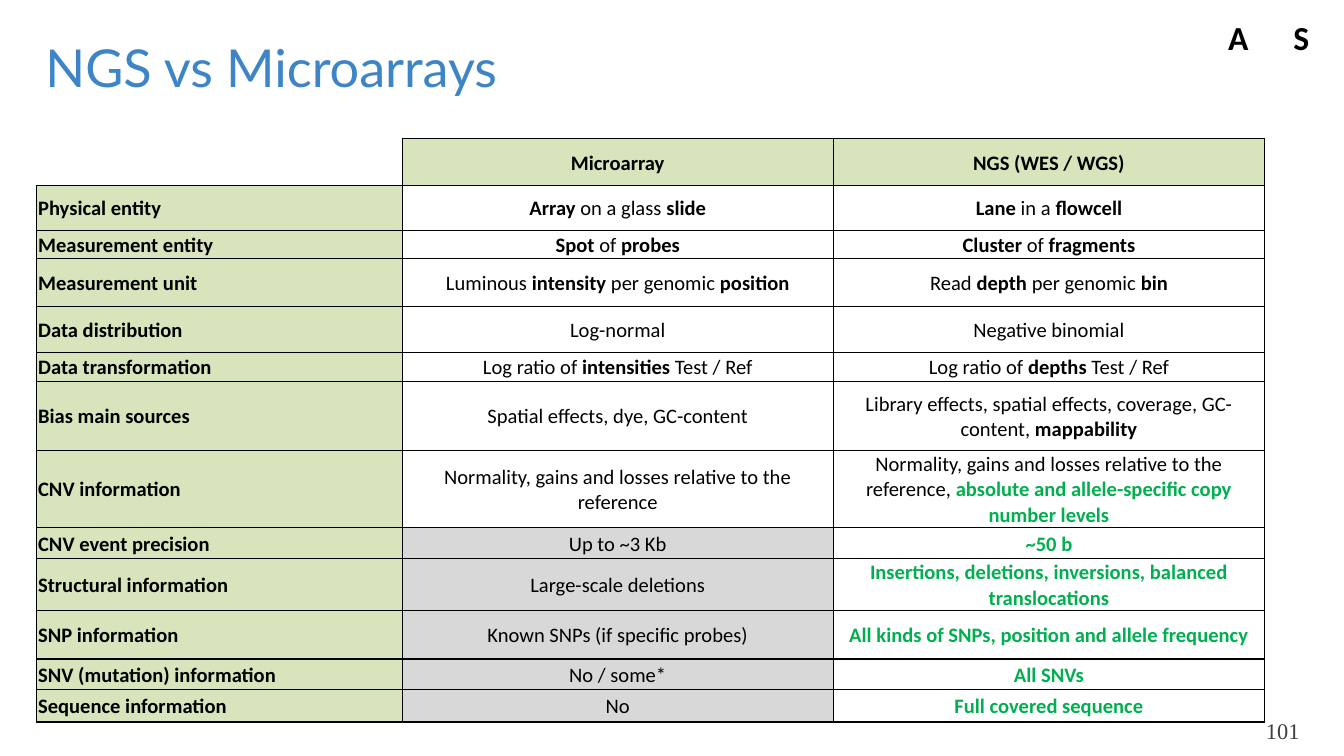
from dataclasses import dataclass
from typing import NamedTuple

from lxml import etree
from pptx import Presentation
from pptx.dml.color import RGBColor
from pptx.enum.text import MSO_ANCHOR, PP_ALIGN
from pptx.oxml.ns import qn
from pptx.util import Cm, Pt

LEFT, CENTER, RIGHT = PP_ALIGN.LEFT, PP_ALIGN.CENTER, PP_ALIGN.RIGHT
TOP, MIDDLE, BOTTOM = MSO_ANCHOR.TOP, MSO_ANCHOR.MIDDLE, MSO_ANCHOR.BOTTOM


@dataclass(frozen=True)
class Theme:
    black: str = "000000"
    title: str = "3D85C6"
    number: str = "3F3F3F"
    heading_fill: str = "D7E4BC"
    limited_fill: str = "D8D8D8"
    advantage: str = "00B050"
    body_font: str = "Calibri"
    title_font: str = "Lato"
    number_font: str = "Times New Roman"
    title_size: int = 28
    letter_size: int = 18
    number_size: int = 12
    table_size: int = 11
    border: float = 0.75


THEME = Theme()


class Run(NamedTuple):
    text: str
    bold: bool = False
    color: str = THEME.black
    font: str = THEME.body_font
    size: int = THEME.table_size


def bold(text: str) -> Run:
    return Run(text, True)


def advantage(text: str) -> Run:
    return Run(text, True, THEME.advantage)


class Row(NamedTuple):
    height: float
    heading: str
    array: list[Run]
    ngs: list[Run]
    limited: bool = False


class Label(NamedTuple):
    box: tuple[float, float, float, float]
    run: Run
    align: PP_ALIGN
    anchor: MSO_ANCHOR
    margins: tuple[float, float, float, float]
    spacing: float = 0.93


TABLE_LEFT, TABLE_TOP = 0.69, 2.62
COLUMNS = (6.91, 8.15, 8.15)
HEADER_HEIGHT = 0.89
CELL_MARGINS = (0.03, 0.03, 0.03, 0)
PLAIN_MARGINS = (0.25, 0.13, 0.25, 0.13)

ROWS = [
    Row(0.84, "Physical entity",
        [bold("Array"), Run(" on a glass "), bold("slide")],
        [bold("Lane"), Run(" in a "), bold("flowcell")]),
    Row(0.54, "Measurement entity",
        [bold("Spot"), Run(" of "), bold("probes")],
        [bold("Cluster"), Run(" of "), bold("fragments")]),
    Row(0.9, "Measurement unit",
        [Run("Luminous "), bold("intensity"), Run(" per genomic "), bold("position")],
        [Run("Read "), bold("depth"), Run(" per genomic "), bold("bin")]),
    Row(0.87, "Data distribution", [Run("Log-normal")], [Run("Negative binomial")]),
    Row(0.55, "Data transformation",
        [Run("Log ratio of "), bold("intensities"), Run(" Test / Ref")],
        [Run("Log ratio of "), bold("depths"), Run(" Test / Ref")]),
    Row(1.3, "Bias main sources",
        [Run("Spatial effects, dye, GC-content")],
        [Run("Library effects, spatial effects, coverage, GC-content, "),
         bold("mappability")]),
    Row(1.35, "CNV information",
        [Run("Normality, gains and losses relative to the reference")],
        [Run("Normality, gains and losses relative to the reference, "),
         advantage("absolute and allele-specific copy number levels")]),
    Row(0.58, "CNV event precision", [Run("Up to ~3 Kb")], [advantage("~50 b")], True),
    Row(0.91, "Structural information",
        [Run("Large-scale deletions")],
        [advantage("Insertions, deletions, inversions, balanced translocations")], True),
    Row(0.91, "SNP information",
        [Run("Known SNPs (if specific probes)")],
        [advantage("All kinds of SNPs, position and allele frequency")], True),
    Row(0.58, "SNV (mutation) information",
        [Run("No / some*")], [advantage("All SNVs")], True),
    Row(0.61, "Sequence information",
        [Run("No")], [advantage("Full covered sequence")], True),
]

LABELS = [
    Label((22.78, 13.49, 2.03, 0.58),
          Run("101", False, THEME.number, THEME.number_font, THEME.number_size),
          RIGHT, BOTTOM, (0.25, 0.13, 0.25, 0)),
    *(Label((left, 0.25, 0.99, 0.74),
            Run(letter, True, size=THEME.letter_size), CENTER, TOP, PLAIN_MARGINS)
      for letter, left in (("A", 22.91), ("S", 24.1))),
    Label((0.61, 0.33, 24.79, 1.85),
          Run("NGS vs Microarrays", False, THEME.title, THEME.title_font,
              THEME.title_size),
          LEFT, MIDDLE, (0.25, 0.13, 0.13, 0.13), 1),
]


def set_margins(target, margins: tuple[float, float, float, float]) -> None:
    (target.margin_left, target.margin_top,
     target.margin_right, target.margin_bottom) = map(Cm, margins)


def add_runs(p, runs: list[Run], align: PP_ALIGN) -> None:
    p.alignment = align
    for run in runs:
        r = p.add_run()
        r.text = run.text
        r.font.name = run.font
        r.font.size = Pt(run.size)
        r.font.bold = run.bold
        r.font.color.rgb = RGBColor.from_string(run.color)


def add_label(slide, label: Label) -> None:
    tf = slide.shapes.add_textbox(*map(Cm, label.box)).text_frame
    tf.word_wrap = True
    tf.vertical_anchor = label.anchor
    set_margins(tf, label.margins)
    add_runs(tf.paragraphs[0], [label.run], label.align)
    tf.paragraphs[0].line_spacing = label.spacing


def set_borders(cell, visible: str) -> None:
    """Draw the sides named in visible (L, R, T, B) and hide the others."""
    tc_pr = cell._tc.get_or_add_tcPr()
    for side in "LRTB":
        ln = etree.SubElement(tc_pr, qn(f"a:ln{side}"), w=str(Pt(THEME.border)))
        if side in visible:
            fill = etree.SubElement(ln, qn("a:solidFill"))
            etree.SubElement(fill, qn("a:srgbClr"), val=THEME.black)
        else:
            etree.SubElement(ln, qn("a:noFill"))


def fill_cell(cell, runs: list[Run], align: PP_ALIGN = CENTER,
              fill: str | None = None, borders: str = "LRTB") -> None:
    set_borders(cell, borders)
    set_margins(cell, CELL_MARGINS)
    cell.vertical_anchor = MIDDLE
    if fill:
        cell.fill.solid()
        cell.fill.fore_color.rgb = RGBColor.from_string(fill)
    else:
        cell.fill.background()
    add_runs(cell.text_frame.paragraphs[0], runs, align)


def add_comparison(slide) -> None:
    heights = [HEADER_HEIGHT, *(row.height for row in ROWS)]
    table = slide.shapes.add_table(
        len(heights), len(COLUMNS), Cm(TABLE_LEFT), Cm(TABLE_TOP),
        Cm(sum(COLUMNS)), Cm(sum(heights))).table
    table.first_row = table.horz_banding = False
    for column, width in zip(table.columns, COLUMNS):
        column.width = Cm(width)
    for table_row, height in zip(table.rows, heights):
        table_row.height = Cm(height)

    fill_cell(table.cell(0, 0), [], borders="RB")
    for c, heading in enumerate(("Microarray", "NGS (WES / WGS)"), 1):
        fill_cell(table.cell(0, c), [bold(heading)], fill=THEME.heading_fill)
    for i, row in enumerate(ROWS, 1):
        fill_cell(table.cell(i, 0), [bold(row.heading)], LEFT, THEME.heading_fill)
        fill_cell(table.cell(i, 1), row.array,
                  fill=THEME.limited_fill if row.limited else None)
        fill_cell(table.cell(i, 2), row.ngs)


def main() -> None:
    prs = Presentation()
    prs.slide_width, prs.slide_height = Cm(25.4), Cm(14.29)
    s = prs.slides.add_slide(prs.slide_layouts[6])
    add_comparison(s)
    for label in LABELS:
        add_label(s, label)
    prs.save("out.pptx")


if __name__ == "__main__":
    main()
